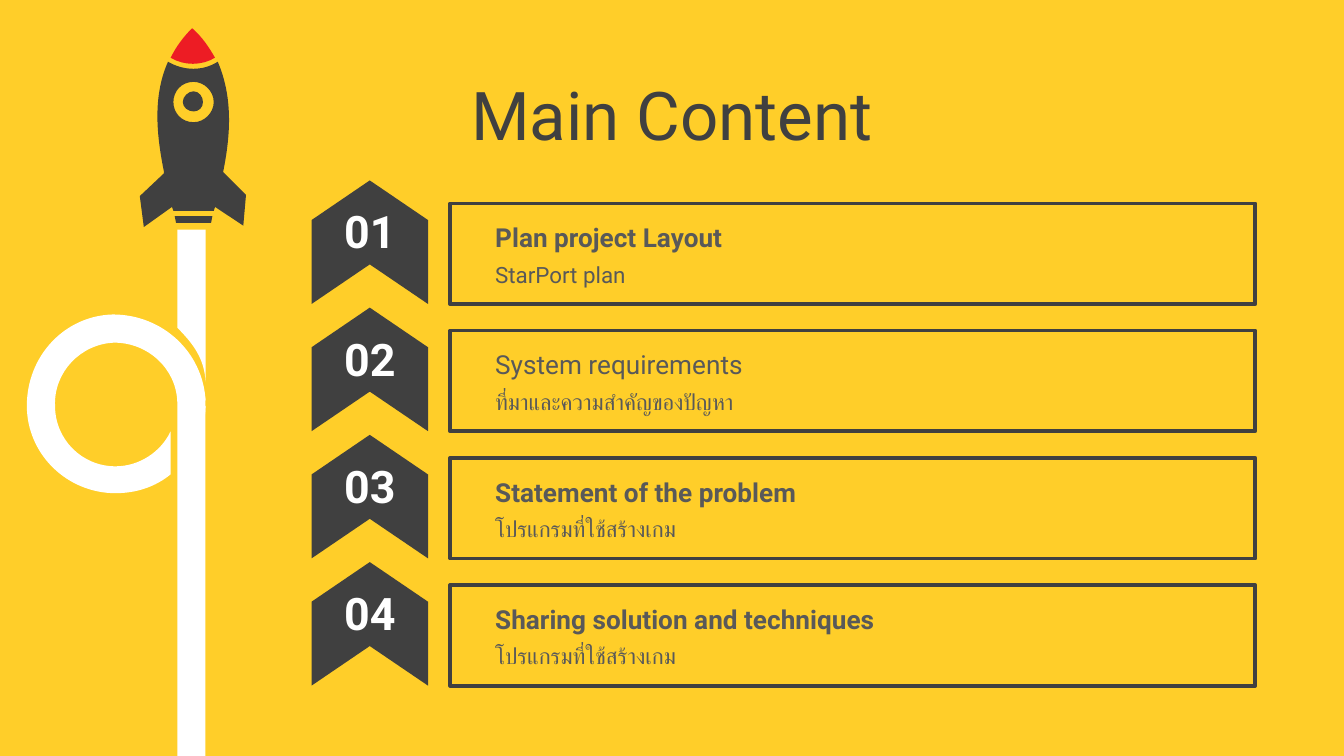
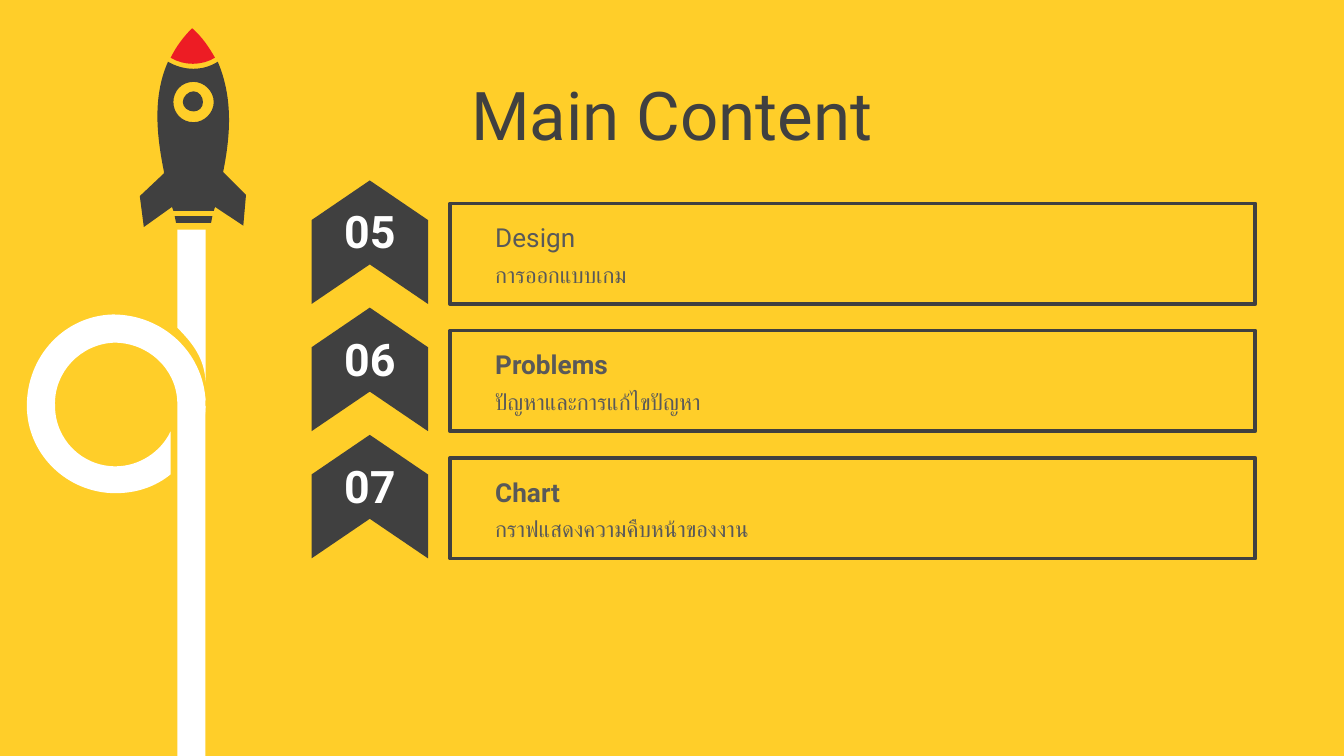
from pptx import Presentation
from pptx.dml.color import RGBColor
from pptx.enum.shapes import MSO_SHAPE
from pptx.enum.text import MSO_ANCHOR, MSO_AUTO_SIZE, PP_ALIGN
from pptx.oxml.ns import qn
from pptx.util import Pt

RECT, CHEVRON = MSO_SHAPE.RECTANGLE, MSO_SHAPE.CHEVRON
LABEL = MSO_SHAPE.ROUND_2_SAME_RECTANGLE
TOP, MIDDLE = MSO_ANCHOR.TOP, MSO_ANCHOR.MIDDLE
LEFT, CENTER = PP_ALIGN.LEFT, PP_ALIGN.CENTER
GROW, FIXED = MSO_AUTO_SIZE.SHAPE_TO_FIT_TEXT, MSO_AUTO_SIZE.NONE

COLORS = {"back": "FFCE29", "dark": "404040", "text": "595959",
          "white": "FFFFFF", "red": "ED1C24"}
FONT = "Roboto"
WIDTH, HEIGHT = 720, 405
TITLE_BOX = (0, 38.2, WIDTH, 45.4)
ROCKET_BOX = (0, 0, 140, HEIGHT)
ROW_BOX = (165, 98.55, 507.5, 63.5)
PITCH = 68.15

# Outlines on a grid of 0.72 pt, with M, L, C and Z as in SVG
GRID = 0.72
LOOP = """M 148 302 L 153 302 C 153 310 151 318 148 326 Z
M 84 234 C 121 234 151 262 153 298 L 132 299 C 131 274 110 255 85 255
C 60 256 40 277 41 302 C 41 327 61 347 86 347 C 104 347 120 336 127 321
L 127 353 C 116 362 102 367 86 367 C 50 367 20 338 20 302
C 20 265 48 235 84 234 Z"""
TRAIL = """M 132 171 L 153 171 C 153 209 153 247 153 284
C 152 267 144 256 132 244 L 132 171 Z"""
HULL = """M 130 161 L 158 161 C 158 163 157 164 157 166 L 131 166 Z
M 144 68 C 148 68 151 72 151 76 C 151 80 148 83 144 83
C 140 83 136 80 136 76 C 136 72 140 68 144 68 Z
M 144 61 C 135 61 129 68 129 76 C 129 84 135 91 144 91
C 152 91 159 84 159 76 C 159 68 152 61 144 61 Z
M 125 46 C 137 53 151 53 162 46 C 174 74 171 103 166 128
L 183 145 L 181 168 L 160 154 L 159 157 L 129 157 C 129 156 128 155 128 154
L 107 169 L 104 146 L 122 129 L 122 129 L 122 128
C 117 103 113 73 125 46 Z"""
NOSE = """M 143 21 C 151 28 156 36 160 43 C 150 49 137 49 127 43
C 131 35 136 28 143 21 Z"""

SLIDES = [
    [("01", "Plan project Layout", True, "StarPort plan"),
     ("02", "System requirements", False, "ที่มาและความสำคัญของปัญหา"),
     ("03", "Statement of the problem", True, "โปรแกรมที่ใช้สร้างเกม"),
     ("04", "Sharing solution and techniques", True, "โปรแกรมที่ใช้สร้างเกม")],
    [("05", "Design", False, "การออกแบบเกม"),
     ("06", "Problems", True, "ปัญหาและการแก้ไขปัญหา"),
     ("07", "Chart", True, "กราฟแสดงความคืบหน้าของงาน")],
]


def color(name):
    return RGBColor.from_string(COLORS[name])


def apply(target, **values):
    for key, value in values.items():
        setattr(target, key, value)


def paint(shape, fill=None, line=None):
    shape.shadow.inherit = False
    if fill:
        shape.fill.solid()
        shape.fill.fore_color.rgb = color(fill)
    else:
        shape.fill.background()
    if line:
        shape.line.color.rgb = color(line)
        shape.line.width = Pt(2)
    else:
        shape.line.fill.background()
    return shape


def add_form(shapes, kind, box, **look):
    return paint(shapes.add_shape(kind, *map(Pt, box)), **look)


def write(shape, text, size, tint, bold=False, align=LEFT, anchor=TOP, fit=GROW):
    frame = shape.text_frame
    apply(frame, word_wrap=True, auto_size=fit, vertical_anchor=anchor)
    para = frame.paragraphs[0]
    para.alignment = align
    run = para.add_run()
    run.text = text
    apply(run.font, name=FONT, size=Pt(size), bold=bold)
    run.font.color.rgb = color(tint)


def bend(shape, marks):
    """Join each three line points that stand for a curve into a Bezier."""
    path = shape._element.find(".//" + qn("a:path"))
    nodes = iter(path.findall(qn("a:lnTo")))
    for mark in marks:
        node = next(nodes)
        if mark == "C":
            node.tag = qn("a:cubicBezTo")
            for extra in (next(nodes), next(nodes)):
                node.append(extra[0])
                path.remove(extra)


def draw(shapes, outline, left, top, fill):
    pen = None
    for part in outline.split("Z")[:-1]:
        nums = [int(word) for word in part.split() if word.isdigit()]
        start, *points = zip(nums[::2], nums[1::2])
        if pen:
            pen.move_to(*start)
        else:
            pen = shapes.build_freeform(*start, scale=Pt(GRID))
        pen.add_line_segments(points, close=True)
    shape = paint(pen.convert_to_shape(Pt(left), Pt(top)), fill)
    bend(shape, [mark for mark in outline if mark in "LC"])


def add_rocket(slide, box):
    left, top, _, height = box
    shapes = slide.shapes
    for outline, fill in ((LOOP, "white"), (TRAIL, "white"),
                          (HULL, "dark"), (NOSE, "red")):
        draw(shapes, outline, left, top, fill)
    # Straight smoke trail down to the foot of the box
    add_form(shapes, RECT, (left + 95, top + 213, 15, height - 213), fill="white")


def add_title(slide, box):
    title = slide.shapes.add_textbox(*map(Pt, box))
    write(title, "Main Content", 36, "dark", align=CENTER, anchor=MIDDLE, fit=FIXED)


def add_row(slide, box, number, head, bold, note):
    left, top, width, _ = box
    shapes = slide.shapes
    # Frame with its two lines of text
    add_form(shapes, RECT, (left + 76.2, top + 10.4, width - 76.2, 54), line="dark")
    group = shapes.add_group_shape().shapes
    for text, size, strong, down, tall in ((head, 14, bold, 15.4, 25.2),
                                           (note, 12, False, 36.6, 23)):
        spot = (left + 92, top + down, width - 110.8, tall)
        write(add_form(group, LABEL, spot), text, size, "text", strong)
    # Arrow pointing up, with the number on it
    arrow = add_form(shapes, CHEVRON, (left, top, 66.2, 62.4), fill="dark")
    arrow.rotation = 270
    arrow.adjustments[0] = 0.34
    badge = shapes.add_textbox(*map(Pt, (left + 11.2, top + 7.3, 44, 36)))
    write(badge, number, 24, "white", True, CENTER)


def add_page(deck, rows):
    slide = deck.slides.add_slide(deck.slide_layouts[6])
    slide.background.fill.solid()
    slide.background.fill.fore_color.rgb = color("back")
    add_rocket(slide, ROCKET_BOX)
    add_title(slide, TITLE_BOX)
    left, top, width, height = ROW_BOX
    for index, row in enumerate(rows):
        add_row(slide, (left, top + index * PITCH, width, height), *row)


def main():
    deck = Presentation()
    apply(deck, slide_width=Pt(WIDTH), slide_height=Pt(HEIGHT))
    for rows in SLIDES:
        add_page(deck, rows)
    deck.save("out.pptx")


if __name__ == "__main__":
    main()
